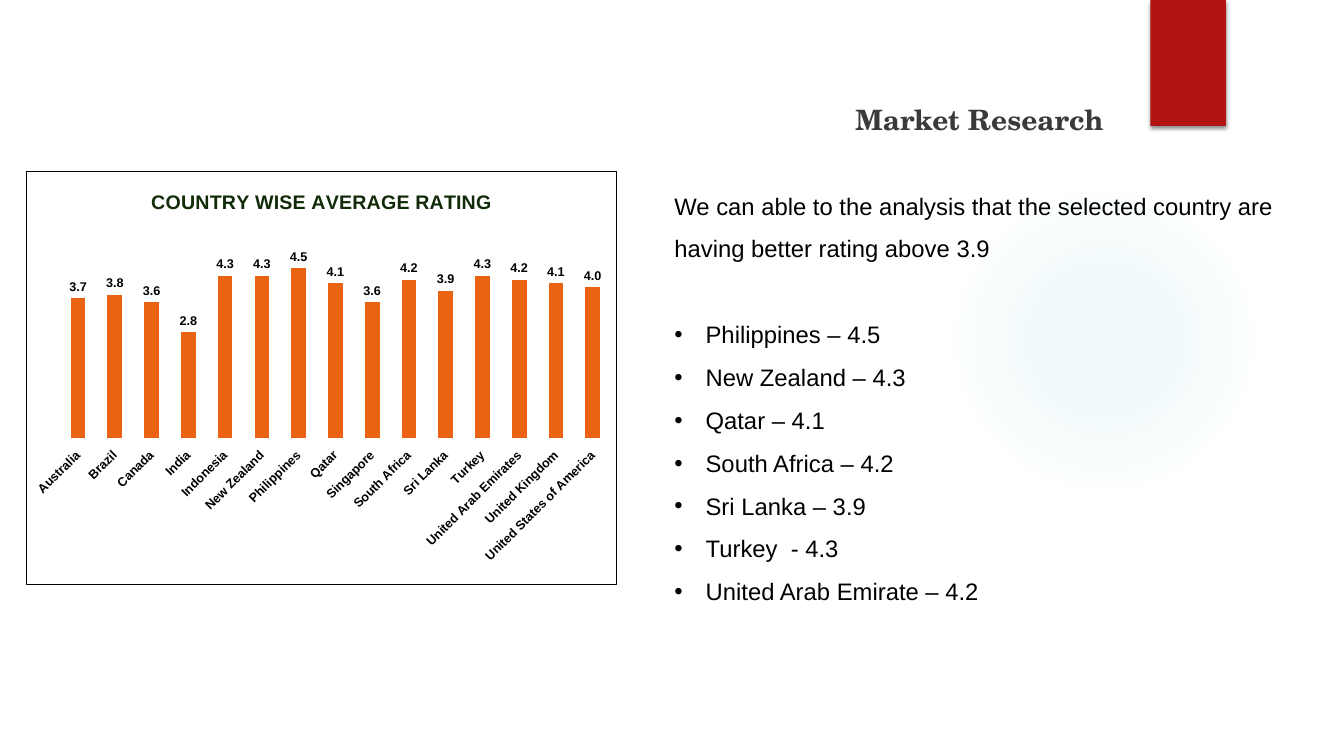
from dataclasses import dataclass

from lxml import etree
from pptx import Presentation
from pptx import util as u
from pptx.chart import data as chart_data
from pptx.dml.color import RGBColor
from pptx.enum import chart as ch
from pptx.enum import shapes, text
from pptx.oxml import parse_xml
from pptx.oxml.ns import nsdecls, qn


@dataclass(frozen=True)
class Theme:
    red: str = "B01513"
    glow: str = "4CB9C3"
    orange: str = "EA6312"
    heading: str = "3A3A3A"
    chart_title: str = "112B08"
    black: str = "000000"
    white: str = "FFFFFF"
    serif: str = "TeX Gyre Schola"
    sans: str = "Arial"
    heading_size: float = 20
    body_size: float = 17
    chart_title_size: float = 14
    chart_size: float = 10
    label_size: float = 9


@dataclass(frozen=True)
class Rating:
    country: str
    value: float


@dataclass(frozen=True)
class Line:
    words: str
    style: dict
    color: str
    align: text.PP_ALIGN = text.PP_ALIGN.LEFT
    before: float = 0
    spacing: float = 1.0
    bullet: bool = False


THEME = Theme()
HEADING = {"name": THEME.serif, "size": u.Pt(THEME.heading_size), "bold": True}
BODY = {"name": THEME.sans, "size": u.Pt(THEME.body_size), "bold": False}
CHART_TEXT = {"name": THEME.sans, "size": u.Pt(THEME.chart_size)}
CHART_TITLE = {"name": THEME.sans, "size": u.Pt(THEME.chart_title_size), "bold": True}
CHART_LABEL = {"name": THEME.sans, "size": u.Pt(THEME.label_size), "bold": True}
BODY_SPACING = 1.5
BULLET_INDENT = u.Inches(0.31)

RATINGS = [
    Rating("Australia", 3.7), Rating("Brazil", 3.8), Rating("Canada", 3.6),
    Rating("India", 2.8), Rating("Indonesia", 4.3), Rating("New Zealand", 4.3),
    Rating("Philippines", 4.5), Rating("Qatar", 4.1), Rating("Singapore", 3.6),
    Rating("South Africa", 4.2), Rating("Sri Lanka", 3.9), Rating("Turkey", 4.3),
    Rating("United Arab Emirates", 4.2), Rating("United Kingdom", 4.1),
    Rating("United States of America", 4.0),
]
FINDINGS = [
    "Philippines – 4.5", "New Zealand – 4.3", "Qatar – 4.1", "South Africa – 4.2",
    "Sri Lanka – 3.9", "Turkey  - 4.3", "United Arab Emirate – 4.2",
]


def style_font(font, style: dict, color: str) -> None:
    for name, value in style.items():
        setattr(font, name, value)
    font.color.rgb = RGBColor.from_string(color)


def add_plain_shape(page, kind, left: float, top: float, width: float, height: float):
    shape = page.shapes.add_shape(
        kind, u.Inches(left), u.Inches(top), u.Inches(width), u.Inches(height))
    shape.line.fill.background()
    shape.shadow.inherit = False
    return shape


def add_glow(page) -> None:
    glow = add_plain_shape(page, shapes.MSO_SHAPE.OVAL, 9.41, 1.83, 3.08, 3.08)
    stops = "".join(
        f'<a:gs pos="{place * 1000}"><a:srgbClr val="{THEME.glow}">'
        f'<a:alpha val="{alpha * 1000}"/></a:srgbClr></a:gs>'
        for place, alpha in ((0, 7), (36, 6), (69, 0), (100, 0)))
    gradient = parse_xml(
        f'<a:gradFill {nsdecls("a")} rotWithShape="1"><a:gsLst>{stops}</a:gsLst>'
        '<a:path path="circle"><a:fillToRect l="50000" t="50000" r="50000" b="50000"/>'
        '</a:path></a:gradFill>')
    glow._element.spPr.find(qn("a:prstGeom")).addnext(gradient)


def add_ribbon(page) -> None:
    ribbon = add_plain_shape(page, shapes.MSO_SHAPE.RECTANGLE, 11.41, 0, 0.75, 1.25)
    ribbon.fill.solid()
    ribbon.fill.fore_color.rgb = RGBColor.from_string(THEME.red)
    ribbon._element.spPr.find(qn("a:effectLst")).append(parse_xml(
        f'<a:outerShdw {nsdecls("a")} blurRad="{u.Pt(3)}" dist="{u.Pt(2)}" dir="5400000" '
        f'rotWithShape="0"><a:srgbClr val="{THEME.black}"><a:alpha val="45000"/>'
        '</a:srgbClr></a:outerShdw>'))


def add_bullet(para) -> None:
    props = para._p.get_or_add_pPr()
    props.set("marL", str(BULLET_INDENT))
    props.set("indent", str(-BULLET_INDENT))
    color = etree.SubElement(props, qn("a:buClr"))
    etree.SubElement(color, qn("a:srgbClr")).set("val", THEME.black)
    etree.SubElement(props, qn("a:buFont")).set("typeface", THEME.sans)
    etree.SubElement(props, qn("a:buChar")).set("char", "•")


def add_findings(page, lines: list[Line]) -> None:
    box = page.shapes.add_textbox(
        u.Inches(6.59), u.Inches(0.47), u.Inches(6.25), u.Inches(6.37))
    frame = box.text_frame
    frame.word_wrap = True
    frame.margin_top = u.Inches(0.55)
    for index, line in enumerate(lines):
        para = frame.add_paragraph() if index else frame.paragraphs[0]
        para.alignment = line.align
        para.line_spacing = line.spacing
        para.space_before = u.Pt(line.before)
        if line.bullet:
            add_bullet(para)
        span = para.add_run()
        span.text = line.words
        style_font(span.font, line.style, line.color)


def add_rating_chart(page, ratings: list[Rating]) -> None:
    table = chart_data.CategoryChartData(number_format="0.0")
    table.categories = [rating.country for rating in ratings]
    table.add_series("Series 1", [rating.value for rating in ratings])
    chart = page.shapes.add_chart(
        ch.XL_CHART_TYPE.COLUMN_CLUSTERED, u.Inches(0.26), u.Inches(1.7),
        u.Inches(5.86), u.Inches(4.1), table).chart
    chart.has_legend = False
    style_font(chart.font, CHART_TEXT, THEME.black)

    # Title
    span = chart.chart_title.text_frame.paragraphs[0].add_run()
    span.text = "COUNTRY WISE AVERAGE RATING"
    style_font(span.font, CHART_TITLE, THEME.chart_title)
    chart.chart_title.include_in_layout = False

    # Axes
    countries, scale = chart.category_axis, chart.value_axis
    countries.format.line.fill.background()
    style_font(countries.tick_labels.font, CHART_LABEL, THEME.black)
    scale.minimum_scale, scale.maximum_scale = 0, 5
    scale.has_major_gridlines = False
    scale.visible = False

    # Columns and their values
    plot = chart.plots[0]
    plot.gap_width = 150
    plot.vary_by_categories = False
    fill = plot.series[0].format.fill
    fill.solid()
    fill.fore_color.rgb = RGBColor.from_string(THEME.orange)
    plot.has_data_labels = True
    labels = plot.data_labels
    labels.show_value = True
    labels.number_format, labels.number_format_is_linked = "0.0", False
    labels.position = ch.XL_LABEL_POSITION.OUTSIDE_END
    style_font(labels.font, CHART_LABEL, THEME.black)

    # Plot area placement and chart frame
    area = chart._chartSpace.chart.plotArea
    for old in area.findall(qn("c:layout")):
        area.remove(old)
    places = "".join(f'<c:{name} val="{value}"/>' for name, value in (
        ("layoutTarget", "inner"), ("xMode", "edge"), ("yMode", "edge"),
        ("x", 0.056), ("y", 0.188), ("w", 0.935), ("h", 0.458)))
    area.insert(0, parse_xml(
        f'<c:layout {nsdecls("c")}><c:manualLayout>{places}</c:manualLayout></c:layout>'))
    chart._chartSpace.chart.addnext(parse_xml(
        f'<c:spPr {nsdecls("c", "a")}><a:solidFill><a:srgbClr val="{THEME.white}"/></a:solidFill>'
        f'<a:ln w="{u.Pt(0.75)}"><a:solidFill><a:srgbClr val="{THEME.black}"/></a:solidFill>'
        '</a:ln></c:spPr>'))


def main() -> None:
    deck = Presentation()
    deck.slide_width, deck.slide_height = u.Inches(13.33), u.Inches(7.5)
    page = deck.slides.add_slide(deck.slide_layouts[6])
    add_glow(page)
    add_ribbon(page)
    summary = "We can able to the analysis that the selected country are having better rating above 3.9"
    add_findings(page, [
        Line("Market Research", HEADING, THEME.heading, text.PP_ALIGN.CENTER),
        Line(summary, BODY, THEME.black, before=29, spacing=BODY_SPACING),
        *(Line(words, BODY, THEME.black, before=0 if index else 30.6,
               spacing=BODY_SPACING, bullet=True) for index, words in enumerate(FINDINGS)),
    ])
    add_rating_chart(page, RATINGS)
    deck.save("out.pptx")


if __name__ == "__main__":
    main()
